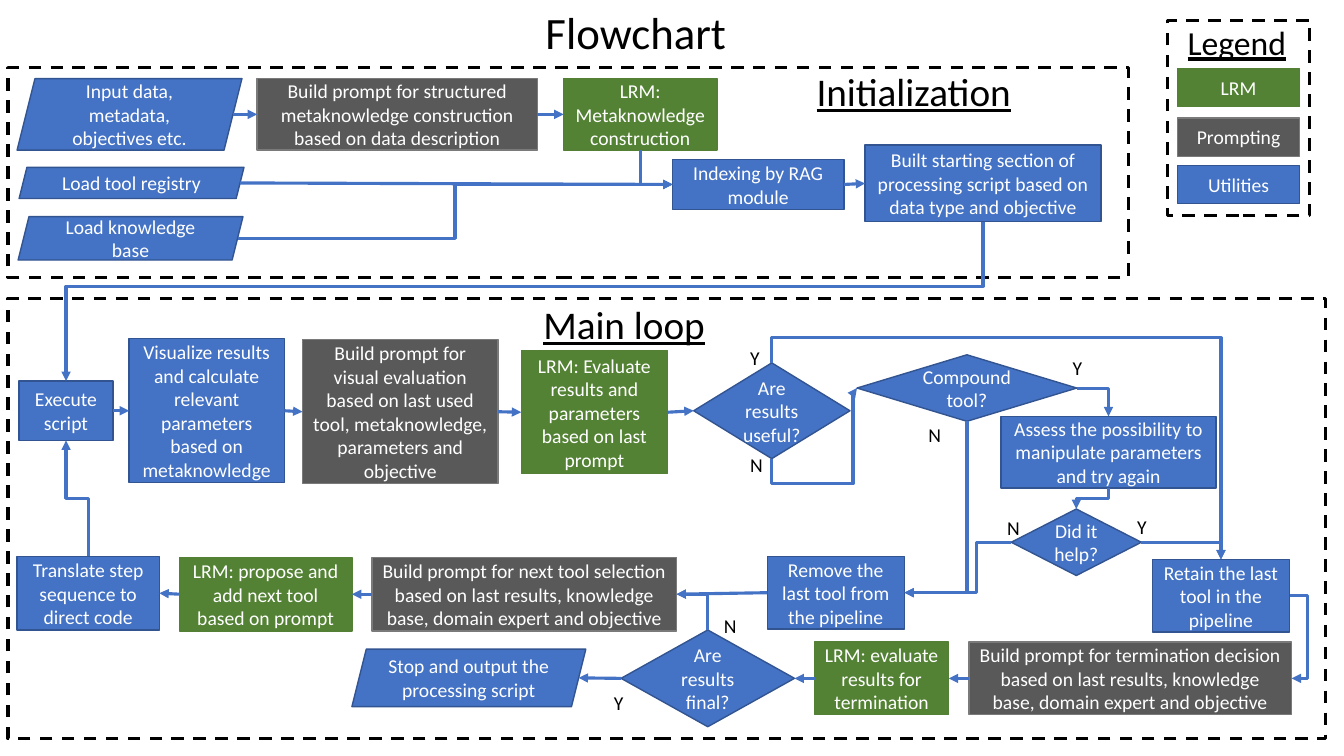
from lxml import etree
from pptx import Presentation
from pptx import util as u
from pptx.dml.color import RGBColor
from pptx.enum import dml, shapes, text
from pptx.oxml import ns

BLACK = RGBColor(0x00, 0x00, 0x00)
WHITE = RGBColor(0xFF, 0xFF, 0xFF)
FLOW = RGBColor(0x44, 0x72, 0xC4)
LRM = (RGBColor(0x54, 0x82, 0x35), RGBColor(0x53, 0x80, 0x35))
PROMPT = (RGBColor(0x59, 0x59, 0x59), RGBColor(0x7A, 0x7A, 0x7A))
UTILITY = (FLOW, RGBColor(0x32, 0x54, 0x91))

BOX = shapes.MSO_SHAPE.RECTANGLE
DATA = shapes.MSO_SHAPE.PARALLELOGRAM
CHOICE = shapes.MSO_SHAPE.DIAMOND


def write(frame, words, size=14, color=BLACK, align=text.PP_ALIGN.LEFT,
          anchor=text.MSO_ANCHOR.TOP, underline=None):
    frame.word_wrap = True
    frame.vertical_anchor = anchor
    paragraph = frame.paragraphs[0]
    paragraph.alignment = align
    run = paragraph.add_run()
    run.text = words
    run.font.name = "Calibri"
    run.font.size = u.Pt(size)
    run.font.color.rgb = color
    run.font.underline = underline


def place(box, left, top, width, height):
    return [u.Inches(n) for n in (box[0] + left, box[1] + top, width, height)]


def label(slide, box, words, left, top, width=0.38, height=0.34, **style):
    frame = slide.shapes.add_textbox(*place(box, left, top, width, height)).text_frame
    frame.auto_size = text.MSO_AUTO_SIZE.SHAPE_TO_FIT_TEXT
    write(frame, words, **style)


def node(slide, box, words, role, left, top, width, height, outline=BOX):
    step = slide.shapes.add_shape(outline, *place(box, left, top, width, height))
    step.shadow.inherit = False
    step.fill.solid()
    step.fill.fore_color.rgb, step.line.color.rgb = role
    step.line.width = u.Pt(1)
    write(step.text_frame, words, color=WHITE, align=text.PP_ALIGN.CENTER,
          anchor=text.MSO_ANCHOR.MIDDLE)
    return step


def border(slide, box):
    edge = slide.shapes.add_shape(BOX, *place(box, 0, 0, *box[2:]))
    edge.shadow.inherit = False
    edge.fill.background()
    edge.line.color.rgb = BLACK
    edge.line.width = u.Pt(2.25)
    edge.line.dash_style = dml.MSO_LINE.DASH


def port(step, side):
    x, y, w, h = (n.inches for n in (step.left, step.top, step.width, step.height))
    slant = h / 8 if step.auto_shape_type == DATA else 0
    return {"left": (x + slant, y + h / 2), "right": (x + w - slant, y + h / 2),
            "top": (x + w / 2, y), "bottom": (x + w / 2, y + h)}[side]


def bend(arrow, start, end, bends):
    dx, dy = end[0] - start[0], end[1] - start[1]
    upright = abs(bends[0][0] - start[0]) < 0.001
    across, down = abs(dx), abs(dy)
    turn, flip_h, flip_v = 0, dx < 0, dy < 0
    if upright:
        across, down = down, across
        turn = 90 if dx * dy < 0 else 270
        flip_h = (dy < 0) == (turn == 90)
        flip_v = (dx > 0) == (turn == 90)
    arrow.left = u.Inches((start[0] + end[0] - across) / 2)
    arrow.top = u.Inches((start[1] + end[1] - down) / 2)
    arrow.width, arrow.height = u.Inches(across), u.Inches(down)
    properties = arrow._element.spPr
    frame = properties.find(ns.qn("a:xfrm"))
    frame.set("rot", str(turn * 60000))
    frame.set("flipH", str(int(flip_h)))
    frame.set("flipV", str(int(flip_v)))
    geometry = properties.find(ns.qn("a:prstGeom"))
    geometry.set("prst", f"bentConnector{len(bends) + 1}")
    guides = geometry.find(ns.qn("a:avLst"))
    for index, corner in enumerate(bends[:-1]):
        axis = (index + upright) % 2
        ratio = (corner[axis] - start[axis]) / (dx, dy)[axis]
        etree.SubElement(guides, ns.qn("a:gd"), name=f"adj{index + 1}",
                         fmla=f"val {round(ratio * 100000)}")


def link(slide, start, end, *bends):
    kind = shapes.MSO_CONNECTOR.ELBOW if bends else shapes.MSO_CONNECTOR.STRAIGHT
    corners = (0, 0, 0, 0) if bends else (*start, *end)
    arrow = slide.shapes.add_connector(kind, *[u.Inches(n) for n in corners])
    if bends:
        bend(arrow, start, end, bends)
    arrow.line.color.rgb = FLOW
    arrow.line.width = u.Pt(2.25)
    properties = arrow._element.spPr
    etree.SubElement(properties.find(ns.qn("a:ln")), ns.qn("a:tailEnd"), type="triangle")
    etree.SubElement(properties, ns.qn("a:effectLst"))


def chain(slide, steps, leave="right", enter="left"):
    for first, second in zip(steps, steps[1:]):
        link(slide, port(first, leave), port(second, enter))


def middle_bends(start, end, y=None):
    y = (start[1] + end[1]) / 2 if y is None else y
    return (start[0], y), (end[0], y)


def legend(slide, box):
    border(slide, box)
    label(slide, box, "Legend", 0.1, -0.03, 1.41, 0.5, size=24, underline=True)
    for words, role, top in (("LRM", LRM, 0.48), ("Prompting", PROMPT, 0.97),
                             ("Utilities", UTILITY, 1.44)):
        node(slide, box, words, role, 0.1, top, 1.21, 0.38)


def initialization(slide, box):
    border(slide, box)
    label(slide, box, "Initialization", 7.92, -0.05, 2.49, 0.57, size=28, underline=True)
    inputs = node(slide, box, "Input data, metadata, objectives etc.", UTILITY, 0.09, 0.11, 2.23, 0.71, DATA)
    registry = node(slide, box, "Load tool registry", UTILITY, 0.11, 0.99, 2.23, 0.31, DATA)
    knowledge = node(slide, box, "Load knowledge base", UTILITY, 0.1, 1.48, 2.23, 0.43, DATA)
    structure = node(slide, box, "Build prompt for structured metaknowledge construction based on data description",
                     PROMPT, 2.47, 0.11, 2.78, 0.71)
    metaknowledge = node(slide, box, "LRM: Metaknowledge construction", LRM, 5.51, 0.11, 1.52, 0.71)
    indexing = node(slide, box, "Indexing by RAG module", UTILITY, 6.59, 0.91, 1.7, 0.5)
    starting = node(slide, box, "Built starting section of processing script based on data type and objective",
                    UTILITY, 8.5, 0.77, 2.34, 0.76)
    chain(slide, [inputs, structure, metaknowledge])
    chain(slide, [registry, indexing, starting])
    entry = port(indexing, "left")
    built, loaded = port(metaknowledge, "bottom"), port(knowledge, "right")
    link(slide, built, entry, (built[0], entry[1]))
    halfway = (loaded[0] + entry[0]) / 2
    link(slide, loaded, entry, (halfway, loaded[1]), (halfway, entry[1]))
    return starting


def main_loop(slide, box):
    border(slide, box)
    label(slide, box, "Main loop", 5.21, -0.03, 2.49, 0.57, size=28, underline=True)
    execute = node(slide, box, "Execute script", UTILITY, 0.11, 0.82, 0.93, 0.59)
    visualize = node(slide, box, "Visualize results and calculate relevant parameters based on metaknowledge",
                     UTILITY, 1.2, 0.4, 1.54, 1.43)
    visual = node(slide, box, "Build prompt for visual evaluation based on last used tool, metaknowledge, "
                  "parameters and objective", PROMPT, 2.92, 0.41, 1.94, 1.43)
    evaluate = node(slide, box, "LRM: Evaluate results and parameters based on last prompt",
                    LRM, 5.09, 0.52, 1.45, 1.22)
    useful = node(slide, box, "Are results useful?", UTILITY, 6.8, 0.64, 1.55, 0.95, CHOICE)
    compound = node(slide, box, "Compound tool?", UTILITY, 8.42, 0.56, 2.18, 0.66, CHOICE)
    assess = node(slide, box, "Assess the possibility to manipulate parameters and try again",
                  UTILITY, 9.85, 1.17, 2.13, 0.71)
    helped = node(slide, box, "Did it help?", UTILITY, 9.95, 2.09, 1.29, 0.66, CHOICE)
    retain = node(slide, box, "Retain the last tool in the pipeline", UTILITY, 11.35, 2.59, 1.36, 0.72)
    remove = node(slide, box, "Remove the last tool from the pipeline", UTILITY, 7.53, 2.56, 1.36, 0.72)
    selection = node(slide, box, "Build prompt for next tool selection based on last results, knowledge base, "
                     "domain expert and objective", PROMPT, 3.61, 2.57, 3.02, 0.73)
    propose = node(slide, box, "LRM: propose and add next tool based on prompt", LRM, 1.7, 2.57, 1.71, 0.73)
    translate = node(slide, box, "Translate step sequence to direct code", UTILITY, 0.09, 2.56, 1.41, 0.73)
    stop = node(slide, box, "Stop and output the processing script", UTILITY, 3.41, 3.48, 2.32, 0.57, DATA)
    final = node(slide, box, "Are results final?", UTILITY, 6.08, 3.29, 1.72, 0.96, CHOICE)
    judge = node(slide, box, "LRM: evaluate results for termination", LRM, 8, 3.41, 1.33, 0.72)
    termination = node(slide, box, "Build prompt for termination decision based on last results, knowledge base, "
                       "domain expert and objective", PROMPT, 9.53, 3.41, 3.2, 0.72)

    chain(slide, [execute, visualize, visual, evaluate, useful])
    chain(slide, [remove, selection, propose, translate], "left", "right")
    chain(slide, [termination, judge, final, stop], "left", "right")
    for first, leave, second, enter in ((translate, "top", execute, "bottom"),
                                        (assess, "bottom", helped, "top")):
        start, end = port(first, leave), port(second, enter)
        link(slide, start, end, *middle_bends(start, end))
    for first, leave, second, enter in ((compound, "bottom", remove, "right"),
                                        (final, "top", selection, "right")):
        start, end = port(first, leave), port(second, enter)
        link(slide, start, end, (start[0], end[1]))
    for first, second in ((compound, assess), (helped, retain)):
        start, end = port(first, "right"), port(second, "top")
        link(slide, start, end, (end[0], start[1]))
    yes, kept = port(useful, "top"), port(retain, "top")
    link(slide, yes, kept, *middle_bends(yes, kept, yes[1] - 0.25))
    no, check = port(useful, "bottom"), port(compound, "left")
    low, lane = no[1] + 0.25, check[0] - 0.04
    link(slide, no, check, (no[0], low), (lane, low), (lane, check[1]))
    for first, leave, second, shift in ((helped, "left", remove, -0.34),
                                        (retain, "right", termination, 0.18)):
        start, end = port(first, leave), port(second, "right")
        lane = start[0] + shift
        link(slide, start, end, (lane, start[1]), (lane, end[1]))

    for answer, left, top in (("Y", 5.91, 3.85), ("N", 7, 3.08), ("N", 7.26, 1.48), ("Y", 7.26, 0.42),
                              ("N", 9.03, 1.19), ("Y", 10.46, 0.52), ("N", 9.81, 2.11), ("Y", 11.1, 2.1)):
        label(slide, box, answer, left, top)
    return execute


def heading(slide, box):
    title = slide.shapes.title
    title.left, title.top, title.width, title.height = place(box, 0, 0, *box[2:])
    write(title.text_frame, "Flowchart", size=32)


def main():
    deck = Presentation()
    deck.slide_width, deck.slide_height = u.Inches(13.33), u.Inches(7.5)
    slide = deck.slides.add_slide(deck.slide_layouts[5])
    heading(slide, (5.31, 0, 2.01, 0.64))
    legend(slide, (11.58, 0.2, 1.41, 1.94))
    starting = initialization(slide, (0.08, 0.67, 11.11, 2.08))
    execute = main_loop(slide, (0.08, 2.96, 13.07, 4.37))
    start, end = port(starting, "bottom"), port(execute, "top")
    link(slide, start, end, *middle_bends(start, end, 2.84))
    deck.save("out.pptx")


if __name__ == "__main__":
    main()
